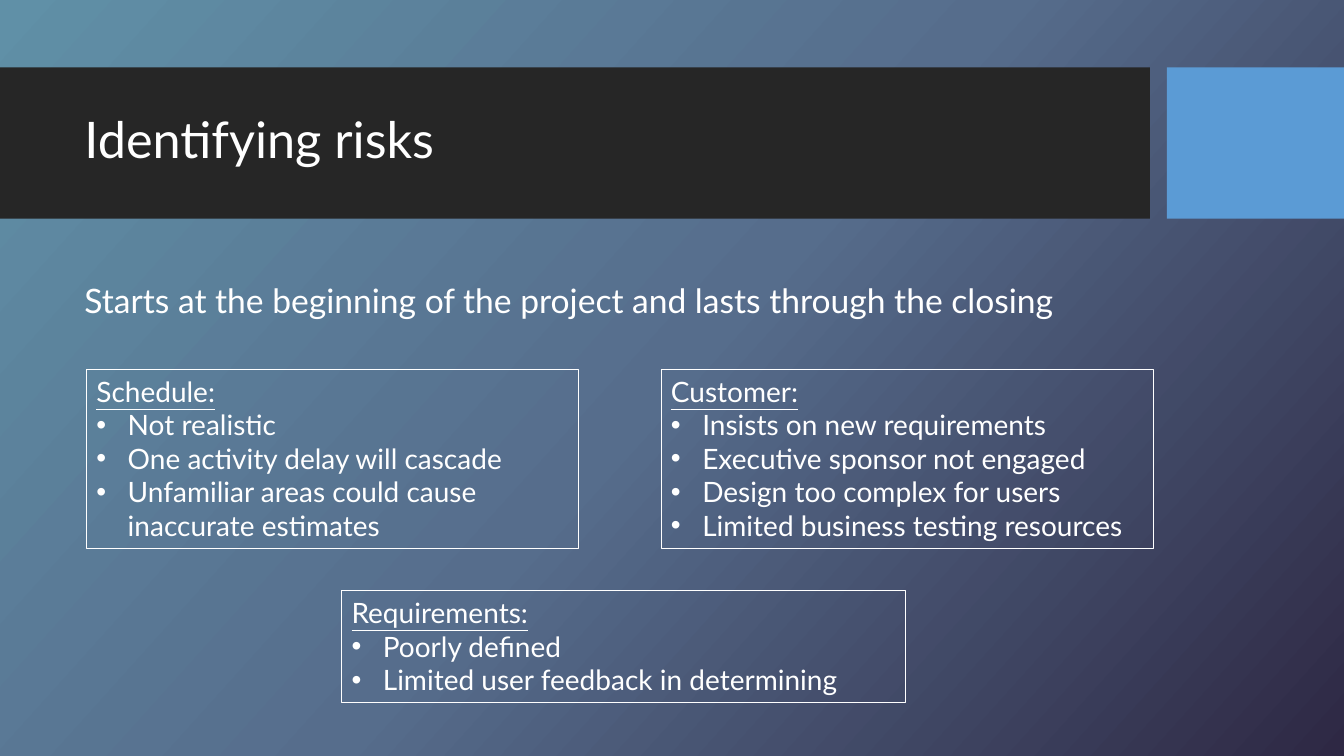
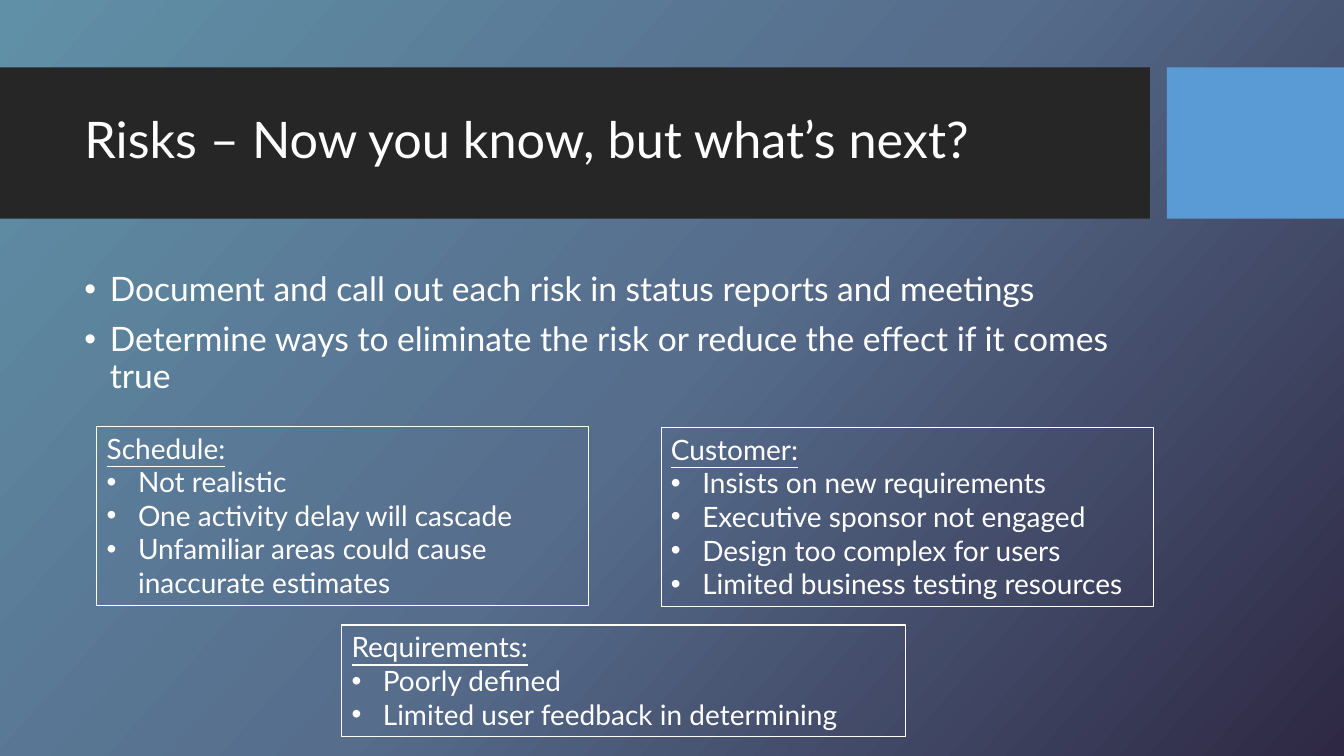
import copy
from dataclasses import dataclass

import pptx
import pptx.util
import pptx.dml.color
import pptx.enum.shapes
import pptx.enum.text
import pptx.oxml
import pptx.oxml.ns

# Content
CARDS = {
    "Schedule:": [
        "Not realistic",
        "One activity delay will cascade",
        "Unfamiliar areas could cause inaccurate estimates",
    ],
    "Requirements:": ["Poorly defined", "Limited user feedback in determining"],
    "Customer:": [
        "Insists on new requirements",
        "Executive sponsor not engaged",
        "Design too complex for users",
        "Limited business testing resources",
    ],
}

# Card spots are the left and top of each card, in card order
SLIDES = [
    {
        "title": "Identifying risks",
        "body": ["Starts at the beginning of the project and lasts through the closing"],
        "dots": False,
        "top": 7.05,
        "spots": [(2.18, 9.3), (8.61, 14.88), (16.66, 9.3)],
    },
    {
        "title": "Risks – Now you know, but what’s next?",
        "body": [
            "Document and call out each risk in status reports and meetings",
            "Determine ways to eliminate the risk or reduce the effect if it comes true",
        ],
        "dots": True,
        "top": 6.74,
        "spots": [(2.44, 10.74), (8.61, 15.75), (16.66, 10.77)],
    },
]


# Theme: colours, type sizes in points, lengths in cm
@dataclass(frozen=True)
class Theme:
    font: str = "Lato"
    ink: str = "FFFFFF"
    band: str = "262626"
    accent: str = "5B9BD5"
    back: tuple = ((0, "6090A7"), (0.5, "566D8C"), (1, "2E2844"))
    angle: int = 42
    title: int = 36
    body: int = 24
    card: int = 20
    wide: float = 33.87
    high: float = 19.05
    left: float = 1.88
    span: float = 26.7


T = Theme()
Cm, Pt = pptx.util.Cm, pptx.util.Pt
# Width and height of each card
SIZES = [(12.4, 4.52), (14.22, 2.82), (12.4, 4.52)]


def tint(code):
    return pptx.dml.color.RGBColor.from_string(code)


# Shared backdrop, set on the master
def set_back(master):
    fill = master.background.fill
    fill.gradient()
    fill.gradient_angle = 360 - T.angle
    first = fill.gradient_stops[0]._gs
    first.addnext(copy.deepcopy(first))
    for stop, (place, code) in zip(fill.gradient_stops, T.back):
        stop.position = place
        stop.color.rgb = tint(code)


def add_band(slide, left, width, code):
    kind = pptx.enum.shapes.MSO_SHAPE.RECTANGLE
    band = slide.shapes.add_shape(kind, Cm(left), Cm(1.7), Cm(width), Cm(3.81))
    band.shadow.inherit = False
    band.fill.solid()
    band.fill.fore_color.rgb = tint(code)
    band.line.fill.background()


# Text helpers
def add_box(slide, left, top, width, height):
    box = slide.shapes.add_textbox(Cm(left), Cm(top), Cm(width), Cm(height))
    box.text_frame.word_wrap = True
    return box


def add_line(frame, text, size, first=False, under=False):
    para = frame.paragraphs[0] if first else frame.add_paragraph()
    run = para.add_run()
    run.text = text
    font = run.font
    font.name, font.size = T.font, Pt(size)
    font.color.rgb = tint(T.ink)
    if under:
        font.underline = True
    return para


def add_dot(para, indent):
    props = para._p.get_or_add_pPr()
    props.set("marL", str(Cm(indent)))
    props.set("indent", str(-Cm(indent)))
    for tag, key, value in (("buFont", "typeface", "Arial"), ("buChar", "char", "•")):
        node = pptx.oxml.parse_xml(f"<a:{tag} {pptx.oxml.ns.nsdecls('a')}/>")
        node.set(key, value)
        props.append(node)


# Slide parts
def add_title(slide, text):
    frame = add_box(slide, T.left, 2.08, T.span, 3).text_frame
    frame.vertical_anchor = pptx.enum.text.MSO_ANCHOR.MIDDLE
    add_line(frame, text, T.title, first=True).line_spacing = 0.9


def add_body(slide, lines, top, dots):
    frame = add_box(slide, T.left, top, T.span, 1.2 * len(lines)).text_frame
    for n, text in enumerate(lines):
        para = add_line(frame, text, T.body, first=n == 0)
        para.line_spacing = 0.9
        para.space_before = Pt(10 if n else 0)
        if dots:
            add_dot(para, 0.64)


def add_card(slide, head, items, spot, size):
    box = add_box(slide, *spot, *size)
    box.line.color.rgb = tint(T.ink)
    box.line.width = Pt(0.75)
    frame = box.text_frame
    frame.auto_size = pptx.enum.text.MSO_AUTO_SIZE.SHAPE_TO_FIT_TEXT
    add_line(frame, head, T.card, first=True, under=True)
    for item in items:
        add_dot(add_line(frame, item, T.card), 0.79)


def main():
    deck = pptx.Presentation()
    deck.slide_width, deck.slide_height = Cm(T.wide), Cm(T.high)
    set_back(deck.slide_master)
    for page in SLIDES:
        slide = deck.slides.add_slide(deck.slide_layouts[6])
        add_band(slide, 0, 28.98, T.band)
        add_band(slide, 29.41, T.wide - 29.41, T.accent)
        add_title(slide, page["title"])
        add_body(slide, page["body"], page["top"], page["dots"])
        for (head, items), spot, size in zip(CARDS.items(), page["spots"], SIZES):
            add_card(slide, head, items, spot, size)
    deck.save("out.pptx")


if __name__ == "__main__":
    main()
